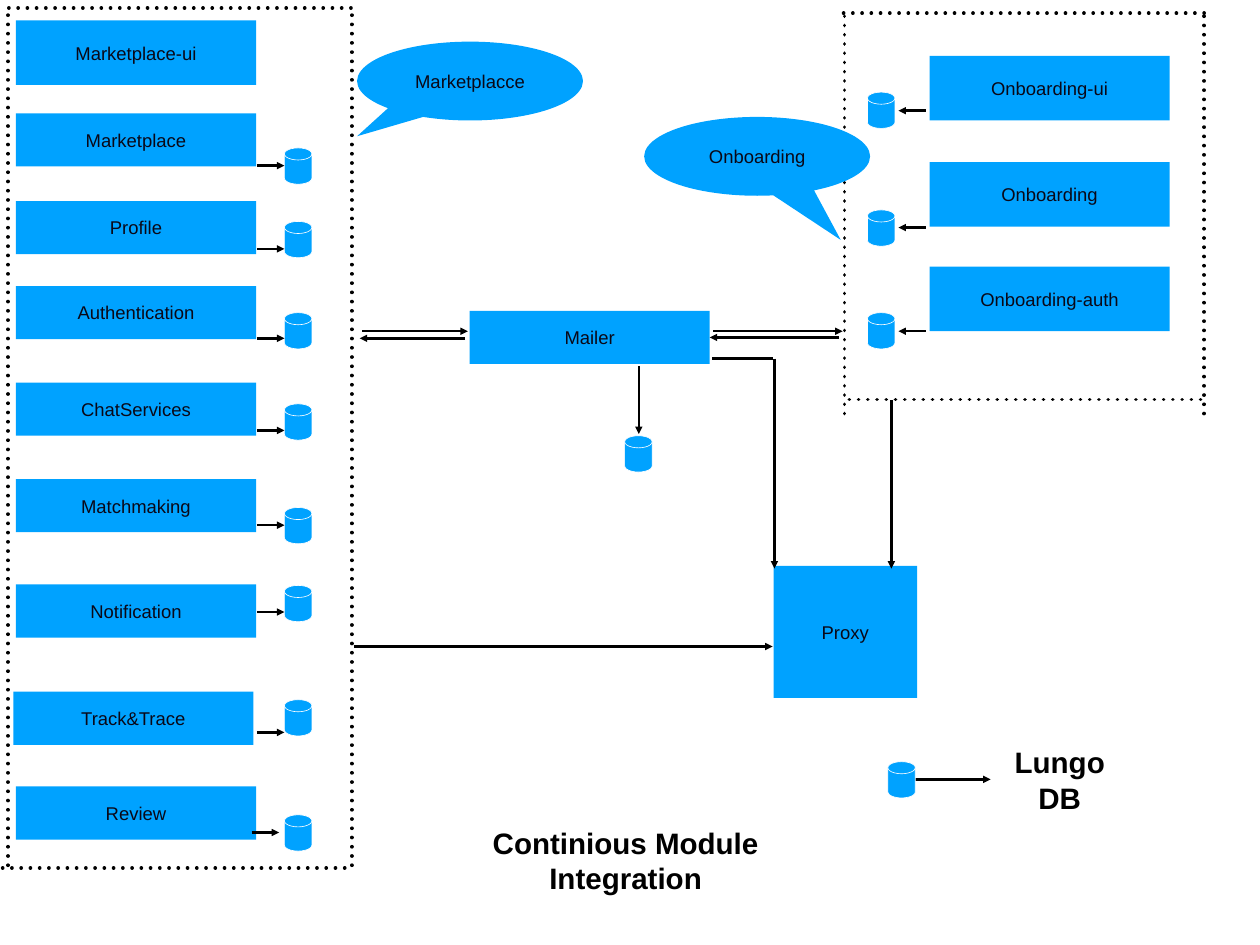
from dataclasses import dataclass

from lxml import etree
from pptx import Presentation
from pptx import util as u
from pptx.dml.color import RGBColor
from pptx.enum import shapes, text
from pptx.oxml.ns import qn

BLUE, INK, BLACK, WHITE = "00A2FF", "0A0817", "000000", "FFFFFF"
RECT = shapes.MSO_SHAPE.RECTANGLE
CALLOUT = shapes.MSO_SHAPE.OVAL_CALLOUT
CYLINDER = shapes.MSO_SHAPE.FLOWCHART_MAGNETIC_DISK
MODULE_WIDTH, MODULE_HEIGHT, UI_HEIGHT = 2.71, 0.6, 0.73
STORE_WIDTH, STORE_HEIGHT = 0.31, 0.41


@dataclass
class Node:
    label: str
    left: float
    top: float
    width: float = MODULE_WIDTH
    height: float = MODULE_HEIGHT
    kind: shapes.MSO_SHAPE = RECT
    tip: tuple[float, float] | None = None


@dataclass
class Link:
    x1: float
    y1: float
    x2: float
    y2: float
    arrow: bool = True
    dotted: bool = False


@dataclass
class Service:
    label: str
    top: float
    store_top: float
    arrow_y: float
    left: float = 0.18
    arrow_left: float = 2.9


def color(value: str) -> RGBColor:
    return RGBColor.from_string(value)


def write(shape, label: str, size: int, ink: str, bold: bool = False) -> None:
    frame = shape.text_frame
    frame.word_wrap = True
    frame.vertical_anchor = text.MSO_ANCHOR.MIDDLE
    frame.margin_left = frame.margin_right = u.Inches(0.06)
    frame.margin_top = frame.margin_bottom = u.Inches(0.06)
    para = frame.paragraphs[0]
    para.text = label
    para.alignment = text.PP_ALIGN.CENTER
    para.font.name = "Arial"
    para.font.size = u.Pt(size)
    para.font.bold = bold
    para.font.color.rgb = color(ink)


def paint(shape) -> None:
    shape.shadow.inherit = False
    shape.fill.solid()
    shape.fill.fore_color.rgb = color(BLUE)
    shape.line.fill.background()


def draw_node(page, node: Node) -> None:
    lengths = map(u.Inches, (node.left, node.top, node.width, node.height))
    box = page.shapes.add_shape(node.kind, *lengths)
    if node.tip:
        box.adjustments[0], box.adjustments[1] = node.tip
    paint(box)
    write(box, node.label, 15, INK)


def draw_store(page, left: float, top: float) -> None:
    lengths = map(u.Inches, (left, top, STORE_WIDTH, STORE_HEIGHT))
    store = page.shapes.add_shape(CYLINDER, *lengths)
    paint(store)
    store.line.color.rgb = color(WHITE)
    store.line.width = u.Pt(0.5)


def draw_link(page, link: Link) -> None:
    ends = map(u.Inches, (link.x1, link.y1, link.x2, link.y2))
    line = page.shapes.add_connector(shapes.MSO_CONNECTOR.STRAIGHT, *ends)
    line.line.color.rgb = color(BLACK)
    line.line.width = u.Pt(3 if link.dotted else 2)
    outline = line._element.spPr.find(qn("a:ln"))
    if link.dotted:
        outline.set("cap", "rnd")
        dash = etree.SubElement(outline, qn("a:custDash"))
        etree.SubElement(dash, qn("a:ds"), d="100000", sp="150000")
    if link.arrow:
        etree.SubElement(outline, qn("a:tailEnd"), type="triangle")
    etree.SubElement(line._element.spPr, qn("a:effectLst"))


def draw_title(page, label: str, left: float, top: float, width: float) -> None:
    box = page.shapes.add_textbox(*map(u.Inches, (left, top, width, 0.91)))
    write(box, label, 24, BLACK, bold=True)


SERVICES = [
    Service("Marketplace", 1.28, 1.67, 1.87),
    Service("Profile", 2.27, 2.5, 2.81),
    Service("Authentication", 3.23, 3.53, 3.82),
    Service("ChatServices", 4.32, 4.56, 4.86),
    Service("Matchmaking", 5.41, 5.73, 5.93),
    Service("Notification", 6.6, 6.61, 6.91),
    Service("Track&Trace", 7.81, 7.9, 8.27, left=0.15),
    Service("Review", 8.88, 9.2, 9.4, arrow_left=2.84),
]
ONBOARDING = [
    Service("Onboarding-ui", 0.63, 1.04, 1.25),
    Service("Onboarding", 1.83, 2.37, 2.57),
    Service("Onboarding-auth", 3.01, 3.53, 3.74),
]
BORDERS = [
    (3.97, 9.77, 3.97, 0.12), (0.1, 0.09, 3.98, 0.09),
    (0.09, 9.77, 0.09, 0.12), (0.03, 9.8, 3.97, 9.8),
    (13.59, 0.15, 9.5, 0.15), (13.59, 4.67, 13.59, 0.14),
    (9.53, 4.67, 9.53, 0.14), (13.55, 4.51, 9.53, 4.51),
]
FLOWS = [
    Link(7.21, 4.13, 7.21, 4.9),
    Link(4.09, 3.74, 5.28, 3.74),
    Link(8.05, 3.74, 9.51, 3.74),
    Link(9.47, 3.81, 8.01, 3.81),
    Link(5.25, 3.82, 4.06, 3.82),
    Link(3.99, 7.3, 8.72, 7.3),
    Link(10.06, 4.52, 10.06, 6.42),
    Link(8.74, 4.05, 8.74, 6.42),
    Link(8.04, 4.05, 8.72, 4.05, arrow=False),
    Link(10.31, 8.8, 11.18, 8.8),
]
NODES = [
    Node("Marketplace-ui", 0.18, 0.23, height=UI_HEIGHT),
    Node("Mailer", 5.3, 3.51),
    Node("Proxy", 8.73, 6.39, 1.62, 1.49),
]
CALLOUTS = [
    Node("Marketplacce", 4.03, 0.47, 2.55, 0.89, CALLOUT, (-0.5, 0.7)),
    Node("Onboarding", 7.27, 1.32, 2.55, 0.89, CALLOUT, (0.37, 1.06)),
]

deck = Presentation()
deck.slide_width, deck.slide_height = u.Inches(14.22), u.Inches(10.67)
page = deck.slides.add_slide(deck.slide_layouts[6])

for node in NODES:
    draw_node(page, node)
for service in SERVICES:
    draw_node(page, Node(service.label, service.left, service.top))
    draw_store(page, 3.21, service.store_top)
    start, y = service.arrow_left, service.arrow_y
    draw_link(page, Link(start, y, start + 0.31, y))
for service in ONBOARDING:
    draw_node(page, Node(service.label, 10.49, service.top, height=UI_HEIGHT))
    draw_store(page, 9.79, service.store_top)
    draw_link(page, Link(10.45, service.arrow_y, 10.14, service.arrow_y))
for border in BORDERS:
    draw_link(page, Link(*border, arrow=False, dotted=True))
for flow in FLOWS:
    draw_link(page, flow)
draw_store(page, 7.05, 4.92)
draw_store(page, 10.02, 8.6)
for callout in CALLOUTS:
    draw_node(page, callout)
draw_title(page, "Lungo DB", 11.15, 8.35, 1.62)
draw_title(page, "Continious Module Integration", 5.05, 9.26, 4.02)

deck.save("out.pptx")
